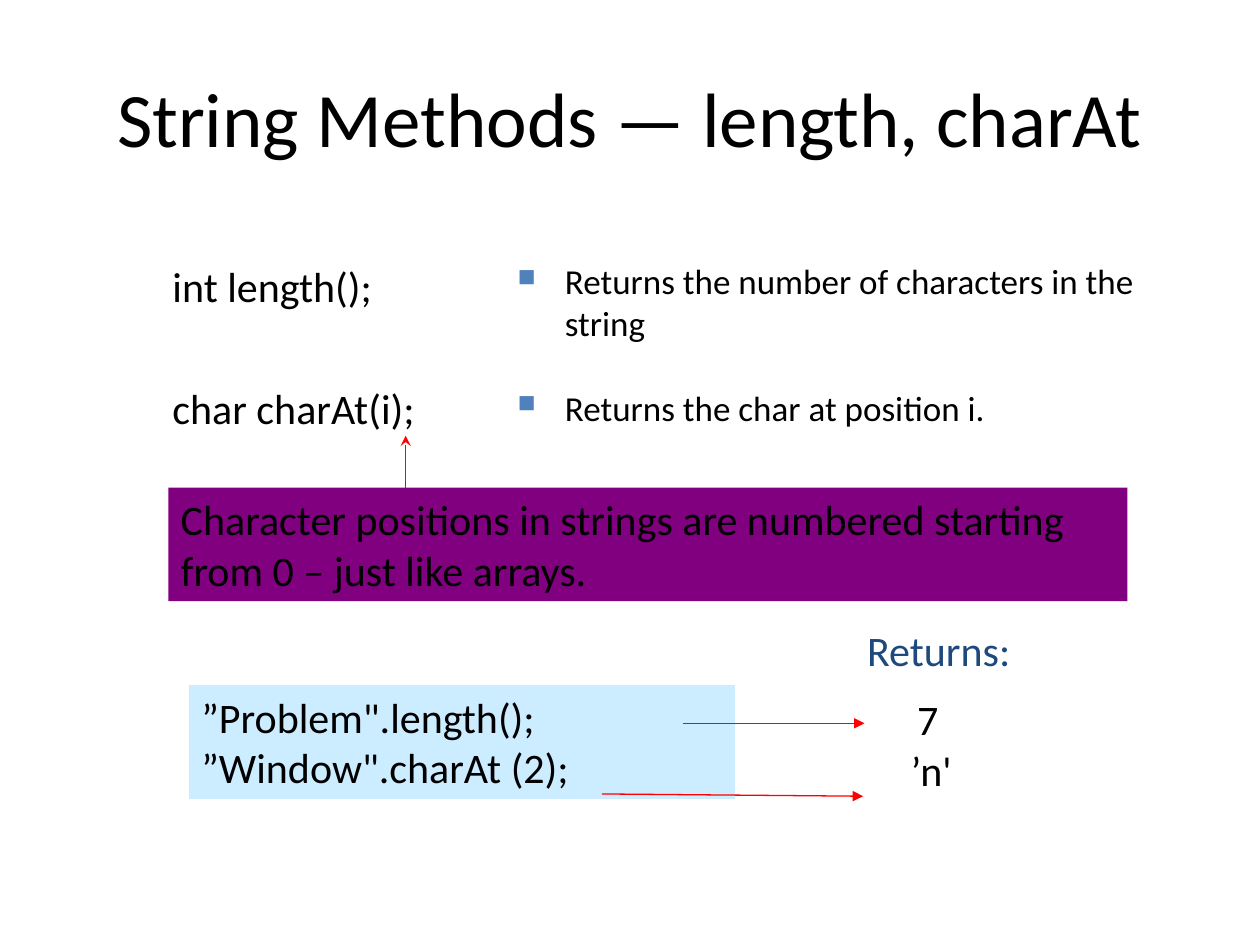
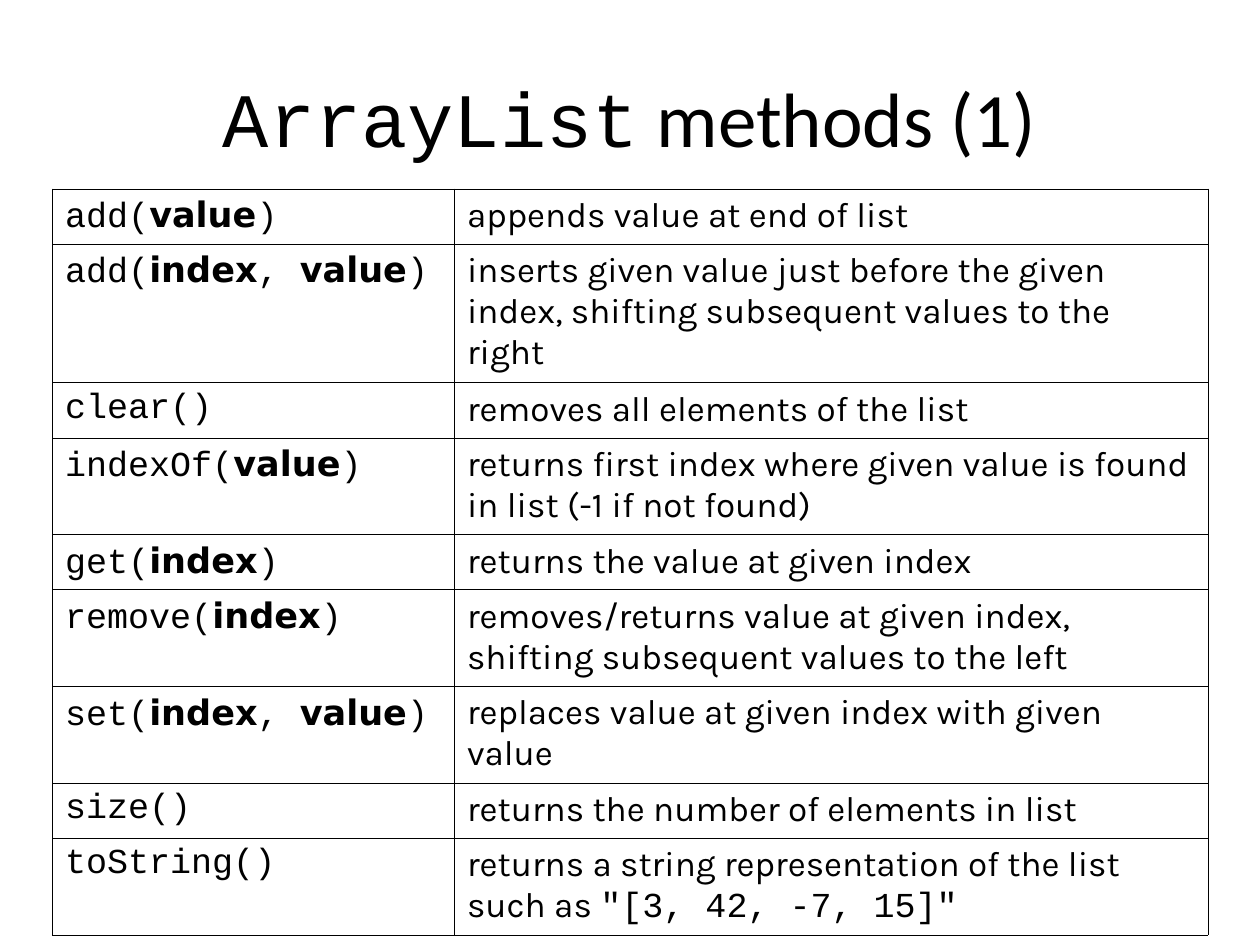
from dataclasses import dataclass

from lxml.etree import SubElement
from pptx import Presentation
from pptx.dml.color import RGBColor
from pptx.enum.shapes import MSO_CONNECTOR, MSO_SHAPE
from pptx.enum.text import MSO_ANCHOR, PP_ALIGN
from pptx.oxml.ns import qn
from pptx.util import Pt


@dataclass(frozen=True)
class Theme:
    text: str = "000000"
    heading: str = "1F497D"
    bullet: str = "4F81BD"
    arrow: str = "FF0000"
    note_fill: str = "800080"
    code_fill: str = "CCECFF"
    border: str = "000000"
    body_font: str = "Calibri"
    code_font: str = "Courier New"
    parameter_font: str = "DejaVu Sans"
    table_font: str = "Karla"
    title_size: int = 44
    large_size: int = 24
    small_size: int = 20
    arrow_width: float = 0.75
    border_width: float = 0.45


THEME = Theme()
COLUMN_WIDTHS = (229.7, 430.6)
ROW_HEIGHTS = {1: 31.5, 2: 55.2, 3: 79.2}

# method, parameters, description paragraphs as (text, font) runs, text lines
def described(text):
    return [[(text, THEME.table_font)]]


METHODS = [
    ("add", ["value"], described("appends value at end of list"), 1),
    ("add", ["index", "value"],
     described("inserts given value just before the given index, "
               "shifting subsequent values to the right"), 3),
    ("clear", [], described("removes all elements of the list"), 1),
    ("indexOf", ["value"],
     described("returns first index where given value is found in list "
               "(-1 if not found)"), 2),
    ("get", ["index"], described("returns the value at given index"), 1),
    ("remove", ["index"],
     described("removes/returns value at given index, "
               "shifting subsequent values to the left"), 2),
    ("set", ["index", "value"],
     described("replaces value at given index with given value"), 2),
    ("size", [], described("returns the number of elements in list"), 1),
    ("toString", [],
     described("returns a string representation of the list")
     + [[("such as ", THEME.table_font),
         ('"[3, 42, -7, 15]"', THEME.code_font)]], 2),
]


def color(value):
    return RGBColor.from_string(value)


def format_font(font, size, name=THEME.body_font, rgb=THEME.text, bold=False):
    font.size = Pt(size)
    font.name = name
    font.bold = bold
    font.color.rgb = color(rgb)


def write_runs(paragraph, runs, size):
    """Add (text, font name) runs; parameters are set in bold."""
    for text, font_name in runs:
        run = paragraph.add_run()
        run.text = text
        format_font(run.font, size, font_name,
                    bold=font_name == THEME.parameter_font)


def write_lines(text_frame, lines, size, rgb=THEME.text,
                align=PP_ALIGN.LEFT, gap=0):
    """Write one paragraph per line, with a gap before all but the first."""
    text_frame.word_wrap = True
    text_frame.text = "\n".join(lines)
    for index, paragraph in enumerate(text_frame.paragraphs):
        paragraph.alignment = align
        if index:
            paragraph.space_before = Pt(gap)
        for run in paragraph.runs:
            format_font(run.font, size, rgb=rgb)


def add_title(slide, runs):
    box = slide.shapes.add_textbox(Pt(36), Pt(21.6), Pt(648), Pt(90))
    frame = box.text_frame
    frame.word_wrap = True
    frame.vertical_anchor = MSO_ANCHOR.MIDDLE
    paragraph = frame.paragraphs[0]
    paragraph.alignment = PP_ALIGN.CENTER
    write_runs(paragraph, runs, THEME.title_size)


def add_text(slide, left, top, width, height, lines, size=THEME.large_size,
             **style):
    box = slide.shapes.add_textbox(Pt(left), Pt(top), Pt(width), Pt(height))
    write_lines(box.text_frame, lines, size, **style)
    return box


def add_panel(slide, left, top, width, fill, lines):
    panel = slide.shapes.add_shape(
        MSO_SHAPE.RECTANGLE, Pt(left), Pt(top), Pt(width), Pt(65))
    panel.shadow.inherit = False
    panel.fill.solid()
    panel.fill.fore_color.rgb = color(fill)
    panel.line.fill.background()
    panel.text_frame.vertical_anchor = MSO_ANCHOR.TOP
    write_lines(panel.text_frame, lines, THEME.large_size)


def add_arrow(slide, start, end, head="triangle"):
    arrow = slide.shapes.add_connector(
        MSO_CONNECTOR.STRAIGHT, *(Pt(value) for value in (*start, *end)))
    arrow.line.color.rgb = color(THEME.arrow)
    arrow.line.width = Pt(THEME.arrow_width)
    SubElement(arrow.line._get_or_add_ln(), qn("a:tailEnd"), type=head)
    SubElement(arrow._element.spPr, qn("a:effectLst"))


def set_indent(paragraph, margin, first_line=0):
    properties = paragraph._p.get_or_add_pPr()
    properties.set("marL", str(Pt(margin)))
    properties.set("indent", str(Pt(first_line)))
    return properties


def add_square_bullet(paragraph):
    properties = set_indent(paragraph, 27, -27)
    bullet_color = SubElement(properties, qn("a:buClr"))
    SubElement(bullet_color, qn("a:srgbClr"), val=THEME.bullet)
    SubElement(properties, qn("a:buSzPct"), val="70000")
    SubElement(properties, qn("a:buChar"), char="■")


def frame_cell(cell):
    """Give the cell thin borders on all sides and no fill."""
    properties = cell._tc.get_or_add_tcPr()
    for side in ("lnL", "lnR", "lnT", "lnB"):
        line = SubElement(properties, qn(f"a:{side}"),
                          w=str(Pt(THEME.border_width)))
        fill = SubElement(line, qn("a:solidFill"))
        SubElement(fill, qn("a:srgbClr"), val=THEME.border)
    cell.fill.background()


def signature_runs(method, parameters):
    runs = []
    opening = method + "("
    for parameter in parameters:
        runs += [(opening, THEME.code_font),
                 (parameter, THEME.parameter_font)]
        opening = ", "
    closing = ")" if parameters else method + "()"
    return runs + [(closing, THEME.code_font)]


def fill_cell(cell, paragraphs):
    frame_cell(cell)
    for index, runs in enumerate(paragraphs):
        frame = cell.text_frame
        paragraph = frame.add_paragraph() if index else frame.paragraphs[0]
        write_runs(paragraph, runs, THEME.small_size)


def add_method_table(slide):
    heights = [ROW_HEIGHTS[lines] for *_, lines in METHODS]
    table = slide.shapes.add_table(
        len(METHODS), len(COLUMN_WIDTHS), Pt(30), Pt(108),
        Pt(sum(COLUMN_WIDTHS)), Pt(sum(heights))).table
    table.first_row = table.horz_banding = False
    for column, width in zip(table.columns, COLUMN_WIDTHS):
        column.width = Pt(width)
    for row, height, method_row in zip(table.rows, heights, METHODS):
        method, parameters, description, _ = method_row
        row.height = Pt(height)
        fill_cell(row.cells[0], [signature_runs(method, parameters)])
        fill_cell(row.cells[1], description)


def build_string_slide(slide):
    add_title(slide, [("String Methods — length, charAt", THEME.body_font)])
    add_text(slide, 91.5, 145.5, 171.5, 106,
             ["int length();", "char charAt(i);"], gap=40.5)
    meanings = add_text(slide, 288.7, 144.7, 371, 110,
                        ["Returns the number of characters in the string",
                         "Returns the char at position i."],
                        THEME.small_size, gap=24.4)
    for paragraph in meanings.text_frame.paragraphs:
        add_square_bullet(paragraph)
    results = add_text(slide, 513.4, 393, 88, 65, ["7", "’n'"])
    set_indent(results.text_frame.paragraphs[0], 3.6)
    add_panel(slide, 108, 391.5, 312, THEME.code_fill,
              ['”Problem".length();', '”Window".charAt (2);'])
    add_text(slide, 479.5, 353.5, 114, 36, ["Returns:"],
             rgb=THEME.heading, align=PP_ALIGN.CENTER)
    add_arrow(slide, (344, 453.7), (493.2, 455))
    add_arrow(slide, (390.2, 413.3), (494, 413.3))
    add_panel(slide, 96.2, 278.6, 548, THEME.note_fill,
              ["Character positions in strings are numbered starting "
               "from 0 – just like arrays."])
    add_arrow(slide, (231.8, 278.6), (231.8, 249), "stealth")


def build_list_slide(slide):
    add_title(slide, [("ArrayList", THEME.code_font),
                      (" methods (1)", THEME.body_font)])
    add_method_table(slide)


def main():
    presentation = Presentation()
    presentation.slide_width = Pt(720)
    presentation.slide_height = Pt(540)
    blank_layout = presentation.slide_layouts[6]
    for build in (build_string_slide, build_list_slide):
        build(presentation.slides.add_slide(blank_layout))
    presentation.save("out.pptx")


if __name__ == "__main__":
    main()
